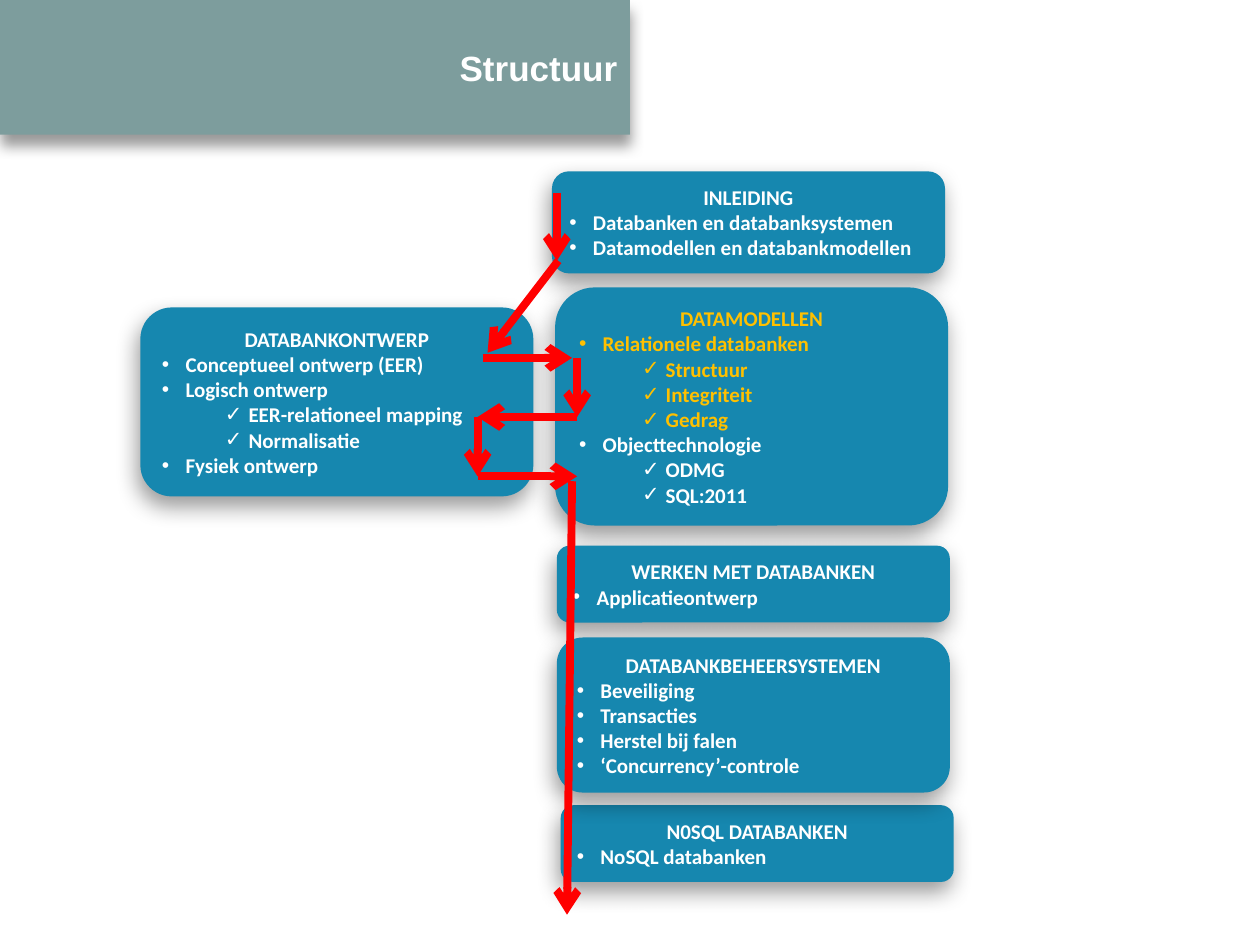
from lxml import etree
from pptx import Presentation
from pptx.dml.color import RGBColor
from pptx.enum.shapes import MSO_CONNECTOR, MSO_SHAPE
from pptx.enum.text import MSO_ANCHOR, PP_ALIGN
from pptx.oxml.ns import qn
from pptx.util import Pt

ROUNDED = MSO_SHAPE.ROUNDED_RECTANGLE
STRAIGHT = MSO_CONNECTOR.STRAIGHT
LEFT, CENTER, RIGHT = PP_ALIGN.LEFT, PP_ALIGN.CENTER, PP_ALIGN.RIGHT
MIDDLE = MSO_ANCHOR.MIDDLE

WHITE = RGBColor(0xFF, 0xFF, 0xFF)
GOLD = RGBColor(0xFF, 0xC0, 0x00)
RED = RGBColor(0xFF, 0x00, 0x00)
TEAL = RGBColor(0x16, 0x87, 0xAF)
SAGE = RGBColor(0x7D, 0x9D, 0x9D)

TITLE = "Structuur"
BOX_WIDTH = 224.6
BULLETS = ("•", "✓")  # one per level
HANG, LEVEL_STEP = 13.5, 36

# left, top, height, heading, items as (level, text), number of gold lines
BOXES = [
    (320.4, 460.1, 43.9, "N0SQL DATABANKEN", [(0, "NoSQL databanken")], 0),
    (315.4, 97.9, 58.3, "INLEIDING", [
        (0, "Databanken en databanksystemen"),
        (0, "Datamodellen en databankmodellen")], 0),
    (80.2, 175.7, 108, "DATABANKONTWERP", [
        (0, "Conceptueel ontwerp (EER)"),
        (0, "Logisch ontwerp"),
        (1, "EER-relationeel mapping"),
        (1, "Normalisatie"),
        (0, "Fysiek ontwerp")], 0),
    (317.2, 164.2, 136.1, "DATAMODELLEN", [
        (0, "Relationele databanken"),
        (1, "Structuur"),
        (1, "Integriteit"),
        (1, "Gedrag"),
        (0, "Objecttechnologie"),
        (1, "ODMG"),
        (1, "SQL:2011")], 5),
    (318.2, 311.8, 43.9, "WERKEN MET DATABANKEN", [(0, "Applicatieontwerp")], 0),
    (318.2, 364.3, 88.6, "DATABANKBEHEERSYSTEMEN", [
        (0, "Beveiliging"),
        (0, "Transacties"),
        (0, "Herstel bij falen"),
        (0, "‘Concurrency’-controle")], 0),
]

# The reading route zigzags between two columns
ROUTE_LEFT, ROUTE_RIGHT = 272.9, 329.8
ROW_1, ROW_2, ROW_3 = 204.5, 238.3, 272.2
ARROWS = [
    (319, 149, 278.6, 201.6),
    (275.8, ROW_1, 326.9, ROW_1),
    (ROUTE_RIGHT, ROW_2, ROUTE_LEFT, ROW_2),
    (ROUTE_LEFT, ROW_3, ROUTE_RIGHT, ROW_3),
    (ROUTE_RIGHT, ROW_1, ROUTE_RIGHT, ROW_2),
    (ROUTE_LEFT, ROW_2, ROUTE_LEFT, ROW_3),
    (326.9, 275, 324, 522.7),
    (318.2, 110.2, 318.2, 149),
]


def style_block(sp, color, blur, angle):
    """Give a shape a flat fill, no outline and a soft shadow."""
    sp.fill.solid()
    sp.fill.fore_color.rgb = color
    sp.line.fill.background()
    sp.shadow.inherit = False
    effects = sp._element.spPr.find(qn("a:effectLst"))
    shadow = etree.SubElement(effects, qn("a:outerShdw"), blurRad=str(Pt(blur)),
                              dist=str(Pt(6)), dir=str(angle * 60000),
                              algn="ctr", rotWithShape="0")
    black = etree.SubElement(shadow, qn("a:srgbClr"), val="000000")
    etree.SubElement(black, qn("a:alpha"), val="40000")


def add_text(p, text, align, font, size, color):
    p.alignment = align
    r = p.add_run()
    r.text = text
    r.font.name, r.font.size, r.font.bold = font, Pt(size), True
    r.font.color.rgb = color


def set_bullet(p, level):
    p.level = level
    pPr = p._p.get_or_add_pPr()
    pPr.set("marL", str(Pt(HANG + level * LEVEL_STEP)))
    pPr.set("indent", str(-Pt(HANG)))
    etree.SubElement(pPr, qn("a:buFont"), typeface="Arial")
    etree.SubElement(pPr, qn("a:buChar"), char=BULLETS[level])


def add_box(shapes, left, top, height, heading, items, gold_lines):
    sp = shapes.add_shape(ROUNDED, Pt(left), Pt(top), Pt(BOX_WIDTH), Pt(height))
    style_block(sp, TEAL, 13, 106)
    tf = sp.text_frame
    tf.word_wrap = True
    tf.vertical_anchor = MIDDLE
    add_text(tf.paragraphs[0], heading, CENTER, "Calibri", 12,
             GOLD if gold_lines else WHITE)
    for line, (level, text) in enumerate(items, start=1):
        p = tf.add_paragraph()
        set_bullet(p, level)
        add_text(p, text, LEFT, "Calibri", 12, GOLD if line < gold_lines else WHITE)


def add_arrow(shapes, *ends):
    arrow = shapes.add_connector(STRAIGHT, *map(Pt, ends))
    arrow.line.color.rgb = RED
    arrow.line.width = Pt(4.5)
    etree.SubElement(arrow.line._get_or_add_ln(), qn("a:tailEnd"), type="arrow")
    etree.SubElement(arrow._element.spPr, qn("a:effectLst"))


def main():
    prs = Presentation()
    prs.slide_width, prs.slide_height = Pt(720), Pt(540)
    s = prs.slides.add_slide(prs.slide_layouts[5])

    title = s.shapes.title
    title.left, title.top, title.width, title.height = Pt(0), Pt(0), Pt(360), Pt(77)
    style_block(title, SAGE, 8, 90)
    title.text_frame.vertical_anchor = MIDDLE
    add_text(title.text_frame.paragraphs[0], TITLE, RIGHT, "Arial", 20, WHITE)

    for box in BOXES:
        add_box(s.shapes, *box)
    for ends in ARROWS:
        add_arrow(s.shapes, *ends)

    prs.save("out.pptx")


if __name__ == "__main__":
    main()
